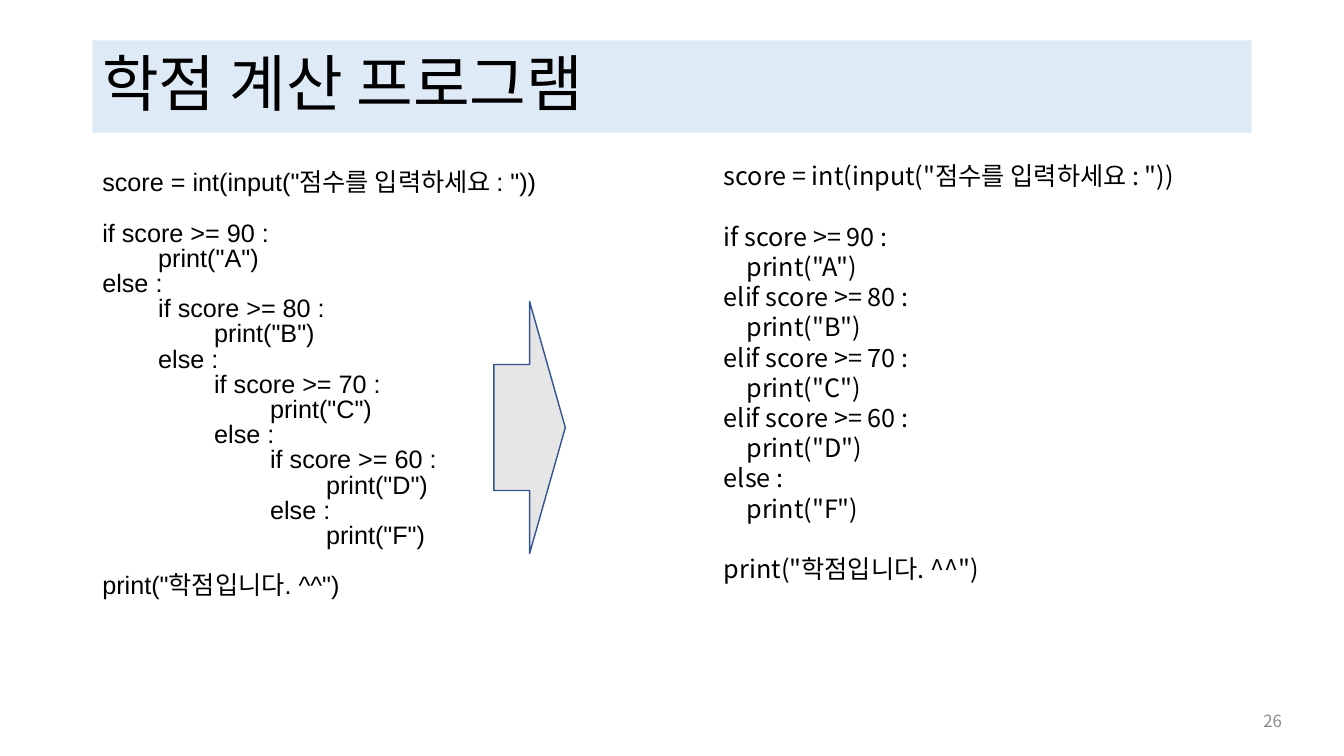
from dataclasses import dataclass

from lxml import etree
from pptx import Presentation
from pptx import util as u
from pptx.dml.color import RGBColor
from pptx.enum import shapes, text
from pptx.oxml.ns import qn

COLS, ROWS = 160, 90
SLIDE_W, SLIDE_H = u.Inches(13.333), u.Inches(7.5)


@dataclass(frozen=True)
class Theme:
    sans: str = "Noto Sans CJK KR"
    code: str = "Arial"
    ink: str = "000000"
    muted: str = "8C8C8C"
    band: str = "DEEBF7"
    arrow: str = "E7E6E6"
    outline: str = "325491"
    title_size: float = 44
    code_size: float = 18
    number_size: float = 12


THEME = Theme()

NESTED_CODE = '''score = int(input("점수를 입력하세요 : "))

if score >= 90 :
        print("A")
else :
        if score >= 80 :
                print("B")
        else :
                if score >= 70 :
                        print("C")
                else :
                        if score >= 60 :
                                print("D")
                        else :
                                print("F")

print("학점입니다. ^^")'''

ELIF_CODE = '''score = int(input("점수를 입력하세요 : "))

if score >= 90 :
    print("A")
elif score >= 80 :
    print("B")
elif score >= 70 :
    print("C")
elif score >= 60 :
    print("D")
else :
    print("F")

print("학점입니다. ^^")'''


def grid(col, row, cols, rows):
    cell_w, cell_h = SLIDE_W / COLS, SLIDE_H / ROWS
    return [u.Emu(round(n)) for n in
            (col * cell_w, row * cell_h, cols * cell_w, rows * cell_h)]


def style(p, size, font=THEME.sans, color=THEME.ink):
    for r in p.runs:
        r.font.size = u.Pt(size)
        r.font.name = font
        r.font.color.rgb = RGBColor.from_string(color)
        ea = etree.SubElement(r.font._element, qn("a:ea"))
        ea.set("typeface", THEME.sans)


def add_block(slide, kind, box, fill, line=None):
    sp = slide.shapes.add_shape(kind, *grid(*box))
    sp.shadow.inherit = False
    sp.fill.solid()
    sp.fill.fore_color.rgb = RGBColor.from_string(fill)
    if line:
        sp.line.color.rgb = RGBColor.from_string(line)
        sp.line.width = u.Pt(1)
    else:
        sp.line.fill.background()
    return sp


def add_title(slide, words, box):
    sp = add_block(slide, shapes.MSO_SHAPE.RECTANGLE, box, THEME.band)
    tf = sp.text_frame
    tf.text = words
    tf.vertical_anchor = text.MSO_ANCHOR.MIDDLE
    p = tf.paragraphs[0]
    p.alignment = text.PP_ALIGN.LEFT
    p.line_spacing = 0.9
    style(p, THEME.title_size)


def add_code(slide, code, box, font, line, gap=0, wrap=True):
    tf = slide.shapes.add_textbox(*grid(*box)).text_frame
    tf.word_wrap = wrap
    p = None
    for block in code.split("\n\n"):
        for i, words in enumerate(block.split("\n")):
            first = p is None
            p = tf.paragraphs[0] if first else tf.add_paragraph()
            p.text = words
            p.line_spacing = u.Pt(line)
            if not first:
                p.space_before = u.Pt(gap if i else line + 2 * gap)
            style(p, THEME.code_size, font)


def add_number(slide, words, box):
    tf = slide.shapes.add_textbox(*grid(*box)).text_frame
    tf.word_wrap = True
    tf.vertical_anchor = text.MSO_ANCHOR.MIDDLE
    p = tf.paragraphs[0]
    p.text = words
    p.alignment = text.PP_ALIGN.RIGHT
    style(p, THEME.number_size, color=THEME.muted)


def main():
    prs = Presentation()
    prs.slide_width, prs.slide_height = SLIDE_W, SLIDE_H
    slide = prs.slides.add_slide(prs.slide_layouts[6])
    add_code(slide, NESTED_CODE, (11, 21.5, 138, 59.6), THEME.code, line=8, gap=10)
    add_number(slide, "26", (141.7, 83.4, 12.1, 4.8))
    add_title(slide, "학점 계산 프로그램", (11, 4.8, 138, 11))
    add_code(slide, ELIF_CODE, (85, 18.5, 58.7, 52), THEME.sans, line=21.6, wrap=False)
    add_block(slide, shapes.MSO_SHAPE.RIGHT_ARROW, (58.8, 35.9, 8.5, 30),
              THEME.arrow, THEME.outline)
    prs.save("out.pptx")


if __name__ == "__main__":
    main()
